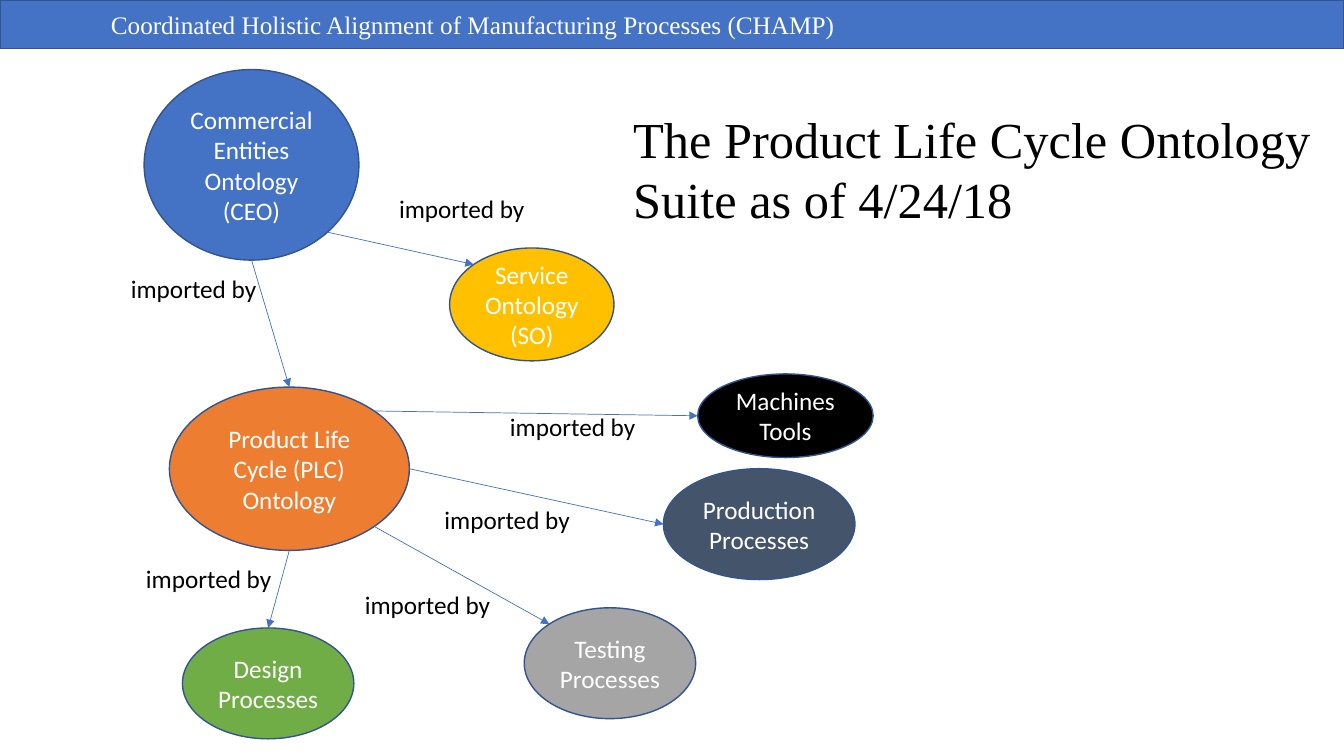
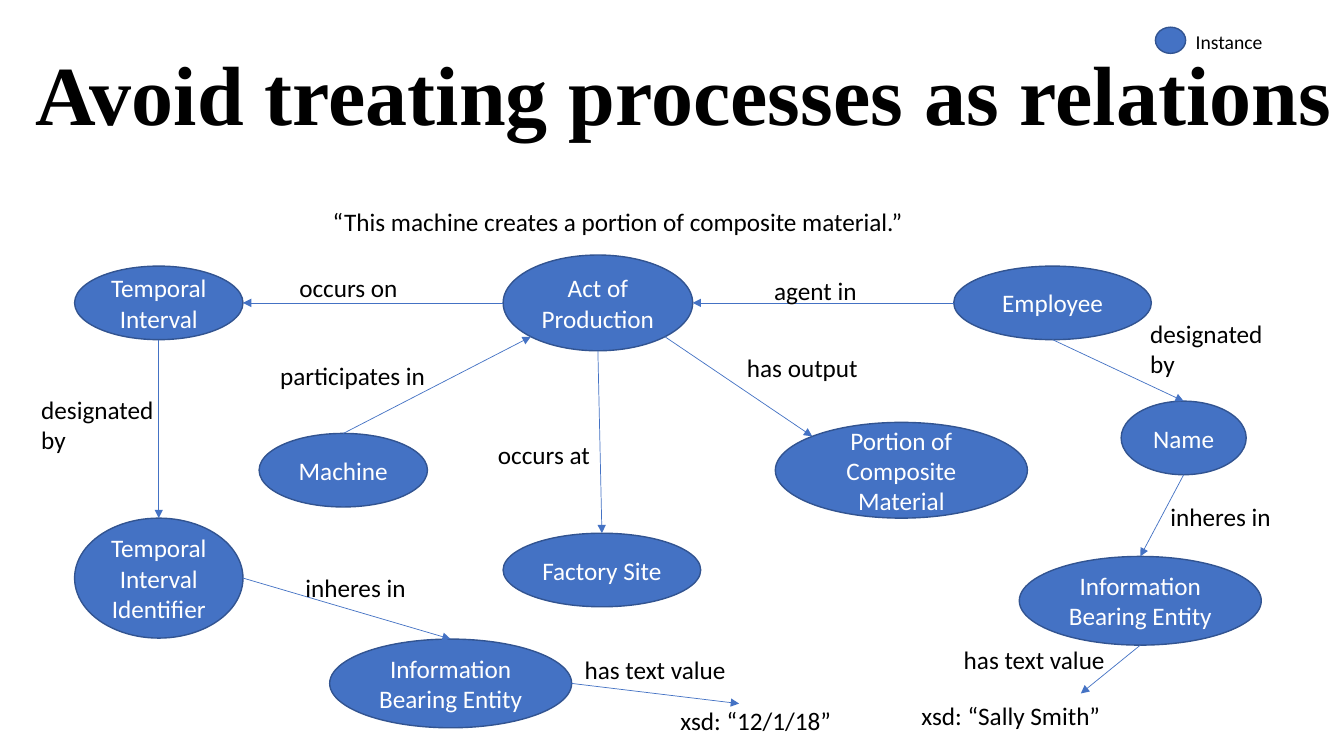
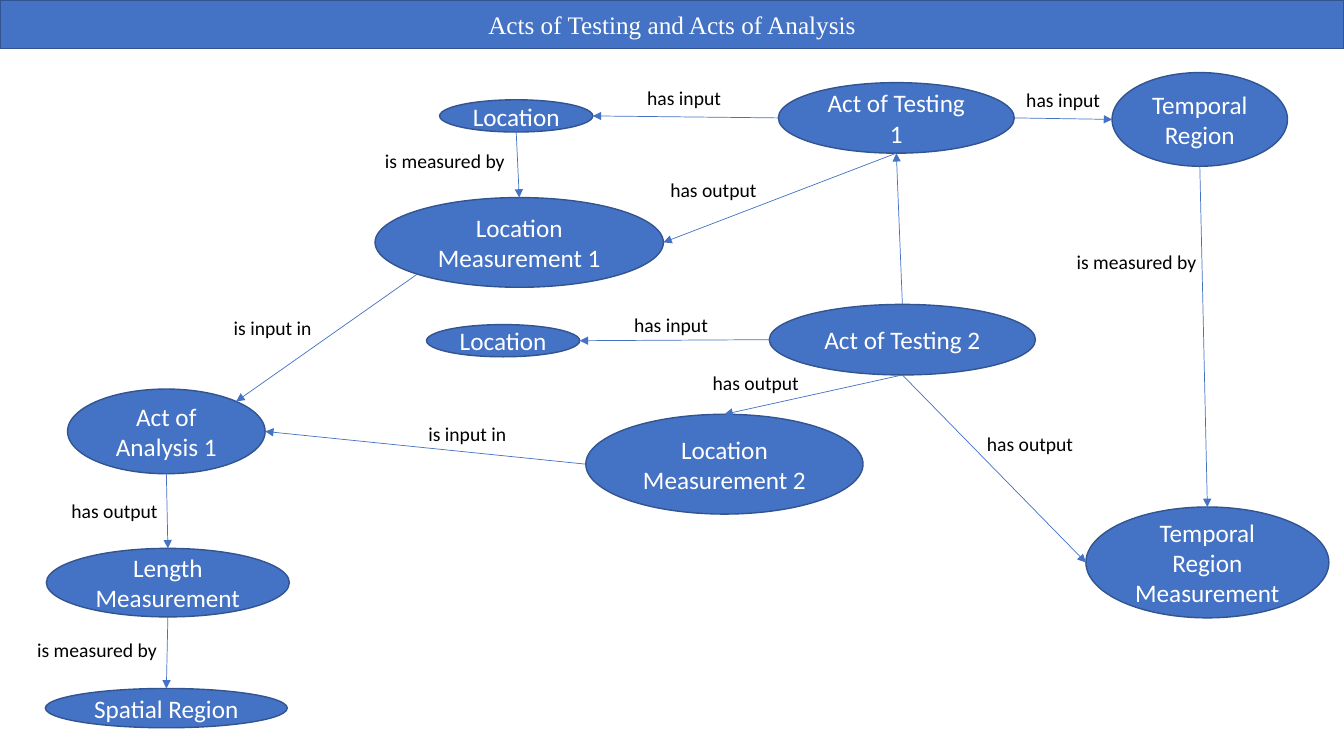
from dataclasses import dataclass
from math import cos, pi, sin

from lxml import etree
from pptx import Presentation
from pptx.dml.color import RGBColor
from pptx.enum.shapes import MSO_CONNECTOR, MSO_SHAPE
from pptx.enum.text import MSO_ANCHOR, MSO_AUTO_SIZE, PP_ALIGN
from pptx.oxml.ns import qn
from pptx.util import Inches, Pt

OVAL, RECT = MSO_SHAPE.OVAL, MSO_SHAPE.RECTANGLE
LINE = MSO_CONNECTOR.STRAIGHT
LEFT, CENTER = PP_ALIGN.LEFT, PP_ALIGN.CENTER
TOP, MIDDLE = MSO_ANCHOR.TOP, MSO_ANCHOR.MIDDLE
FIXED, GROW = MSO_AUTO_SIZE.NONE, MSO_AUTO_SIZE.SHAPE_TO_FIT_TEXT


@dataclass(frozen=True)
class Theme:
    blue: str = "4472C4"
    edge: str = "325491"
    orange: str = "ED7D31"
    gold: str = "FFC000"
    slate: str = "44546A"
    gray: str = "A5A5A5"
    green: str = "70AD47"
    black: str = "000000"
    white: str = "FFFFFF"
    sans: str = "Calibri"
    serif: str = "Times New Roman"
    small: int = 14
    text: int = 18
    head: int = 36
    huge: int = 60


T = Theme()
BAND = (0, 0, 13.33, 0.48)
SITES = ("top", "top left", "left", "low left", "low", "low right", "right", "top right")

SUITE = {
    "title": ("The Product Life Cycle Ontology Suite as of 4/24/18", (6.18, 1.02, 7.15, 1.31), T.head, False),
    "band": "Coordinated Holistic Alignment of Manufacturing Processes (CHAMP)",
    "size": T.text,
    "nodes": {
        "ceo": ("Commercial Entities Ontology (CEO)", 1.43, 0.69, 2.13, 1.89),
        "plc": ("Product Life Cycle (PLC)\nOntology", 1.68, 3.84, 2.38, 1.62, T.orange),
        "so": ("Service Ontology (SO)", 4.46, 2.46, 1.63, 1.12, T.gold),
        "tools": ("Machines\nTools", 6.92, 3.71, 1.74, 0.83, T.black),
        "make": ("Production Processes", 6.58, 4.65, 1.9, 1.1, T.slate),
        "test": ("Testing Processes", 5.2, 6.03, 1.7, 1.1, T.gray),
        "design": ("Design Processes", 1.81, 6.23, 1.7, 1.1, T.green),
    },
    "links": [
        ("ceo", "low", "plc", "top"),
        ("ceo", "low right", "so", "top left"),
        ("plc", "low", "design", "top"),
        ("plc", "low right", "test", "top left"),
        ("plc", "right", "make", "left"),
        ("plc", "top right", "tools", "left"),
    ],
    "labels": [
        ("imported by", 1.46, [(1.2, 2.66), (1.35, 5.54), (3.86, 1.87), (3.52, 5.8), (4.31, 4.95), (4.96, 4.03)]),
    ],
}

AVOID = {
    "title": ("Avoid treating processes as relations", (0.25, 0.36, 13.08, 1.11), T.huge, True),
    "size": T.text,
    "nodes": {
        "machine": ("Machine", 2.57, 4.3, 1.67, 0.73),
        "portion": ("Portion of Composite Material", 7.69, 4.19, 2.5, 0.95),
        "act": ("Act of Production", 4.99, 2.53, 1.88, 0.95),
        "time": ("Temporal Interval", 0.74, 2.64, 1.67, 0.73),
        "staff": ("Employee", 9.46, 2.64, 1.96, 0.73),
        "site": ("Factory Site", 4.99, 5.29, 1.96, 0.73),
        "ident": ("Temporal Interval Identifier", 0.74, 5.14, 1.67, 1.19),
        "name": ("Name", 11.12, 3.98, 1.24, 0.73),
        "date info": ("Information Bearing Entity", 3.27, 6.34, 2.4, 0.88),
        "name info": ("Information Bearing Entity", 10.11, 5.52, 2.4, 0.88),
        "key": ("", 11.46, 0.27, 0.3, 0.26),
    },
    "links": [
        ("machine", "top", "act", "low left"),
        ("act", "low right", "portion", "top left"),
        ("act", "left", "time", "right"),
        ("staff", "left", "act", "right"),
        ("act", "low", "site", "top"),
        ("time", "low", "ident", "top"),
        ("staff", "low", "name", "top"),
        ("name", "low", "name info", "top"),
        ("ident", "right", "date info", "top"),
        ("date info", "right", (7.33, 6.98), None),
        ("name info", "low", (10.72, 6.88), None),
    ],
    "labels": [
        ("participates in", 1.7, [(2.68, 3.53)]),
        ("“This machine creates a portion of composite material.”", 6.08, [(3.2, 2)]),
        ("has output", 1.35, [(7.31, 3.45)]),
        ("occurs on", 1.23, [(2.87, 2.65)]),
        ("agent in", 1.08, [(7.58, 2.68)]),
        ("occurs at", 1.17, [(4.84, 4.31)]),
        ("designated by", 1.35, [(0.31, 3.86), (11.31, 3.11)], T.text, 2),
        ("inheres in", 1.35, [(11.51, 4.92), (2.93, 5.63)]),
        ("has text value", 1.99, [(9.46, 6.34), (5.7, 6.44)]),
        ("xsd: “12/1/18”", 1.76, [(6.65, 6.95)]),
        ("xsd: “Sally Smith”", 2.27, [(9.04, 6.9)]),
        ("Instance", 0.92, [(11.76, 0.25)], T.small),
    ],
}

ACTS = {
    "title": ("Acts of Testing and Acts of Analysis", BAND, T.text, False),
    "size": T.small,
    "nodes": {
        "study": ("Act of Analysis 1", 0.67, 3.86, 1.96, 0.84),
        "test 1": ("Act of Testing 1", 7.72, 0.82, 2.34, 0.7),
        "place 1": ("Location", 4.36, 0.99, 1.52, 0.32),
        "time": ("Temporal Region", 11.03, 0.72, 1.74, 0.93),
        "spot 1": ("Location Measurement 1", 3.72, 1.96, 2.86, 0.89),
        "span": ("Temporal Region Measurement", 10.77, 5.03, 2.41, 1.1),
        "test 2": ("Act of Testing 2", 7.63, 3.02, 2.64, 0.7),
        "spot 2": ("Location Measurement 2", 5.81, 4.11, 2.75, 0.99),
        "place 2": ("Location", 4.23, 3.22, 1.52, 0.32),
        "length": ("Length Measurement", 0.46, 5.44, 2.41, 0.68),
        "space": ("Spatial Region", 0.45, 6.83, 2.4, 0.39),
    },
    "links": [
        ("spot 1", "low left", "study", "top right"),
        ("spot 2", "left", "study", "right"),
        ("test 1", "left", "place 1", "right"),
        ("test 1", "right", "time", "left"),
        ("place 1", "low", "spot 1", "top"),
        ("time", "low", "span", "top"),
        ("test 1", "low", "spot 1", "right"),
        ("test 2", "top", "test 1", "low"),
        ("test 2", "low", "span", "left"),
        ("test 2", "low", "spot 2", "top"),
        ("test 2", "left", "place 2", "right"),
        ("study", "low", "length", "top"),
        ("length", "low", "space", "top"),
    ],
    "labels": [
        ("is input in", 1.03, [(4.15, 4.14), (2.22, 3.08)]),
        ("has input", 0.98, [(6.32, 0.8), (10.08, 0.82), (6.19, 3.06)]),
        ("has output", 1.27, [(0.61, 4.9), (6.55, 1.72), (6.97, 3.63), (9.69, 4.24)]),
        ("is measured by", 1.46, [(10.58, 2.43), (3.72, 1.43), (0.27, 6.28)]),
    ],
}


def rgb(code):
    return RGBColor.from_string(code)


def write(frame, text, size, color, font=T.sans, align=LEFT, bold=False):
    frame.word_wrap = True
    for i, row in enumerate(text.split("\n")):
        para = frame.add_paragraph() if i else frame.paragraphs[0]
        para.alignment = align
        run = para.add_run()
        run.text = row
        run.font.size = Pt(size)
        run.font.name = font
        run.font.bold = bold
        run.font.color.rgb = rgb(color)


def paint(shape, fill):
    shape.fill.solid()
    shape.fill.fore_color.rgb = rgb(fill)
    shape.line.color.rgb = rgb(T.edge)
    shape.line.width = Pt(1)


def add_shape(slide, kind, box, fill):
    shape = slide.shapes.add_shape(kind, *map(Inches, box))
    shape.shadow.inherit = False
    paint(shape, fill)
    shape.text_frame.vertical_anchor = MIDDLE
    return shape


def add_title(slide, text, box, size, bold):
    title = slide.shapes.title
    title.left, title.top, title.width, title.height = map(Inches, box)
    band = box == BAND
    if band:
        paint(title, T.blue)
    frame = title.text_frame
    frame.auto_size = FIXED
    frame.vertical_anchor = MIDDLE if band else TOP
    write(frame, text, size, T.white if band else T.black, T.serif, CENTER if band else LEFT, bold)


def add_band(slide, text):
    frame = add_shape(slide, RECT, BAND, T.blue).text_frame
    frame.margin_left = Inches(1.1)
    write(frame, text, T.text, T.white, T.serif)


def add_node(slide, text, x, y, w, h, fill=T.blue):
    node = add_shape(slide, OVAL, (x, y, w, h), fill)
    if text:
        write(node.text_frame, text, T.text, T.white, align=CENTER)
    return node


def spot(node, site):
    turn = SITES.index(site) * pi / 4
    x = node.left + node.width / 2 * (1 - sin(turn))
    y = node.top + node.height / 2 * (1 - cos(turn))
    return int(x), int(y)


def add_link(slide, nodes, start, out, end, into):
    ends = (("a:stCxn", start, out), ("a:endCxn", end, into))
    points = [spot(nodes[key], site) if site else tuple(map(Inches, key)) for _, key, site in ends]
    link = slide.shapes.add_connector(LINE, *points[0], *points[1])
    link.line.color.rgb = rgb(T.blue)
    link.line.width = Pt(0.5)
    item = link._element
    etree.SubElement(link.line._get_or_add_ln(), qn("a:tailEnd"), type="triangle")
    etree.SubElement(item.spPr, qn("a:effectLst"))
    glue = item.find(".//" + qn("p:cNvCxnSpPr"))
    for tag, key, site in ends:
        if site:
            etree.SubElement(glue, qn(tag), id=str(nodes[key].shape_id), idx=str(SITES.index(site)))


def add_label(slide, text, x, y, w, size, rows):
    high = 0.1 + 0.017 * size * rows
    frame = slide.shapes.add_textbox(*map(Inches, (x, y, w, high))).text_frame
    write(frame, text, size, T.black)
    frame.auto_size = GROW


def add_slide(deck, page):
    slide = deck.slides.add_slide(deck.slide_layouts[5])
    add_title(slide, *page["title"])
    if "band" in page:
        add_band(slide, page["band"])
    nodes = {key: add_node(slide, *row) for key, row in page["nodes"].items()}
    for link in page["links"]:
        add_link(slide, nodes, *link)
    for text, wide, places, *rest in page["labels"]:
        size, rows = (rest + [page["size"], 1][len(rest):])
        for x, y in places:
            add_label(slide, text, x, y, wide, size, rows)


def main():
    deck = Presentation()
    deck.slide_width, deck.slide_height = Inches(13.33), Inches(7.5)
    for page in (SUITE, AVOID, ACTS):
        add_slide(deck, page)
    deck.save("out.pptx")


if __name__ == "__main__":
    main()
